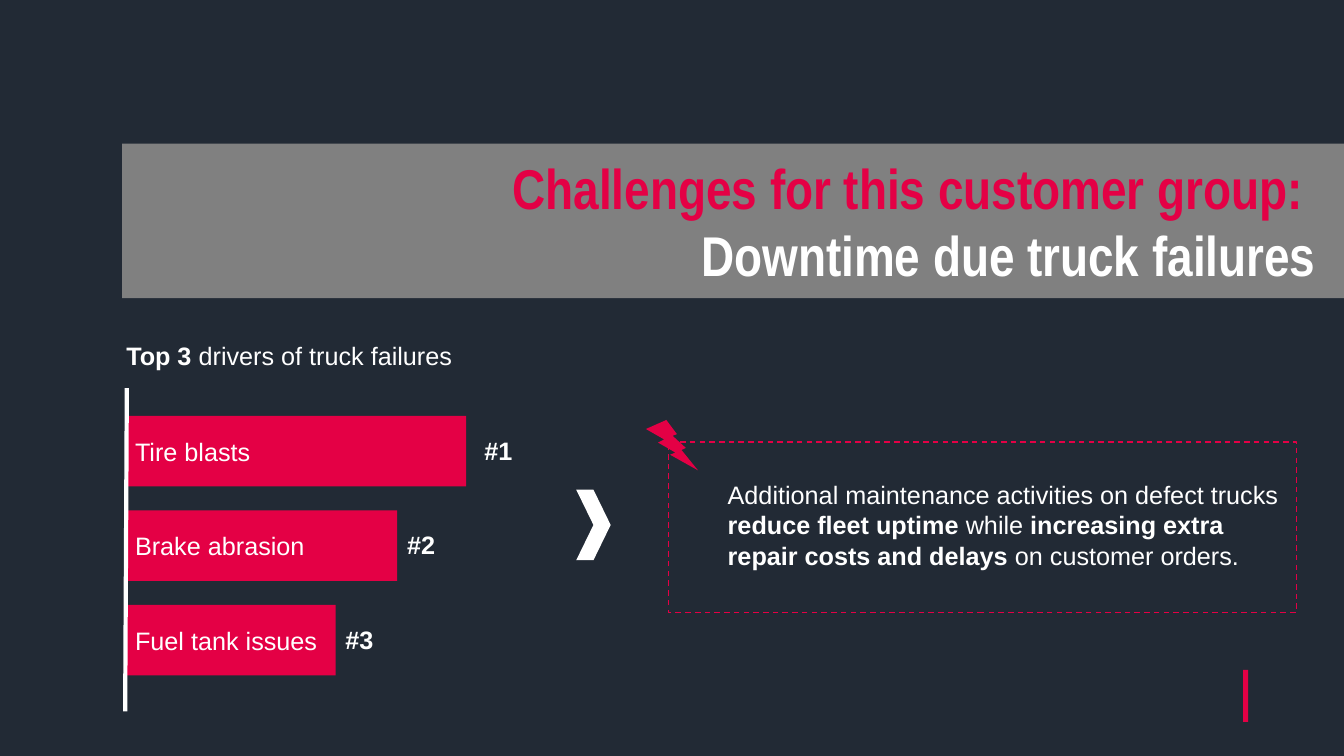
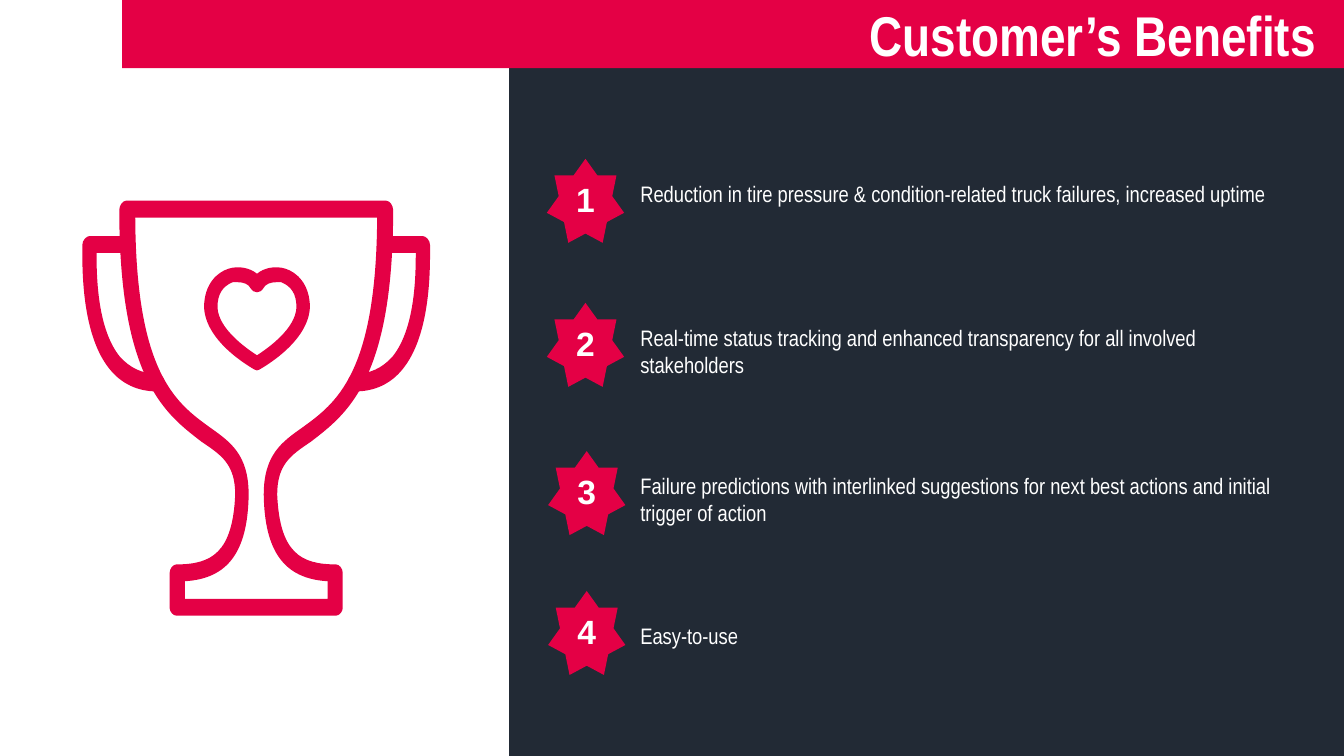
from dataclasses import dataclass
from typing import NamedTuple

from lxml.etree import SubElement
from pptx import Presentation
from pptx.dml.color import RGBColor
from pptx.enum.dml import MSO_LINE_DASH_STYLE as Dash
from pptx.enum.shapes import MSO_CONNECTOR as Connector, MSO_SHAPE as Preset
from pptx.enum.text import MSO_ANCHOR as Anchor, MSO_AUTO_SIZE as AutoSize, PP_ALIGN as Align
from pptx.oxml.ns import qn
from pptx.util import Emu, Inches, Pt

NAVY, RED, GREY, WHITE = "222A35", "E40045", "808080", "FFFFFF"
COLUMNS, ROWS = 160, 90
SLIDE_WIDTH, SLIDE_HEIGHT = Inches(13.33), Inches(7.5)

TITLE = {"name": "Arial Narrow", "size": Pt(40), "bold": True}
BODY = {"name": "Arial", "size": Pt(18), "bold": False}
STRONG = BODY | {"bold": True}
NUMBER = STRONG | {"size": Pt(24)}
BENEFIT = {"name": "Arial Narrow", "size": Pt(16), "bold": False}

BAND_INSETS = {"margin_left": Inches(0.1), "margin_right": Inches(0.28),
               "margin_top": Inches(0.05), "margin_bottom": Inches(0.05)}
NO_INSETS = dict.fromkeys(BAND_INSETS, 0)


class Cell(NamedTuple):
    column: float
    row: float
    columns: float
    rows: float


class Run(NamedTuple):
    text: str
    style: dict
    color: str = WHITE


Point = tuple[float, float]
Paragraphs = list[list[Run]]


@dataclass
class Driver:
    label: str
    columns: float
    gap: float


@dataclass
class Benefit:
    text: str
    star_column: float
    star_row: float
    text_row: float
    rows: float


@dataclass
class Contour:
    points: list[Point]
    degrees: list[int]

    def mirrored(self, axis: float) -> "Contour":
        flipped = [(2 * axis - column, row) for column, row in reversed(self.points)]
        return Contour(flipped, self.degrees[::-1])

    def completed(self) -> "Contour":
        other = self.mirrored(self.points[0][0])
        return Contour(self.points + other.points[1:], self.degrees + other.degrees)


def trace(start: Point, *steps: tuple[float, ...]) -> Contour:
    points = [start]
    for step in steps:
        points += zip(step[::2], step[1::2])
    return Contour(points, [len(step) // 2 for step in steps])


DRIVERS = [
    Driver("Tire blasts", 40.6, 1),
    Driver("Brake abrasion", 32.4, 0),
    Driver("Fuel tank issues", 25.05, 0),
]

BENEFITS = [
    Benefit("Reduction in tire pressure & condition-related truck failures, increased uptime",
            65.1, 18.9, 20.9, 4.4),
    Benefit("Real-time status tracking and enhanced transparency for all involved stakeholders",
            65.1, 36.05, 38, 7.7),
    Benefit("Failure predictions with interlinked suggestions for next best actions and "
            "initial trigger of action", 65.25, 53.7, 55.6, 7.7),
    Benefit("Easy-to-use", 65.25, 70.35, 73.5, 4.4),
]

CUP_AXIS, HEART_AXIS = 30.5, 30.6

HANDLE = trace(
    (18.7, 46.6),
    (16.4, 46.6, 14.5, 45.7, 13.1, 44), (9.8, 40, 9.8, 32.5, 9.8, 29.6),
    (9.8, 29.4, 9.8, 29.3, 9.8, 29.2), (9.8, 28.6, 10.3, 28.1, 10.7, 28.1),
    (15.1, 28.1), (15.6, 28.1, 16, 28.6, 16, 29.2), (16, 29.6, 15.6, 30.1, 15.1, 30.1),
    (11.5, 30.1), (11.5, 33, 11.6, 39.2, 14.3, 42.5), (15.5, 43.8, 16.9, 44.5, 18.7, 44.5),
    (19.2, 44.5, 19.6, 45, 19.6, 45.6), (19.6, 46.1, 19.2, 46.6, 18.7, 46.6),
)

CUP_RIM = trace(
    (CUP_AXIS, 23.9),
    (15, 23.9), (14.6, 23.9, 14.2, 24.5, 14.2, 25), (14.2, 45.5, 19.9, 49.4, 24, 52.6),
    (26.4, 54.2, 28, 55.3, 28, 58.9), (27.7, 65.8, 25.2, 67.2, 21, 67.2),
    (20.6, 67.2, 20.2, 67.7, 20.2, 68.2), (20.2, 72.4),
    (20.2, 72.8, 20.6, 73.3, 21, 73.3), (CUP_AXIS, 73.3),
)

CUP_HOLLOW = trace(
    (CUP_AXIS, 25.9),
    (16.1, 25.9), (16.2, 44.5, 21, 48, 25, 50.9), (27.4, 52.6, 29.6, 54.1, 29.6, 58.9),
    (29.5, 65.6, 27.2, 68.9, 22, 69.2), (22, 71.3), (CUP_AXIS, 71.3),
)

HEART_RIM = trace(
    (HEART_AXIS, 32.6),
    (29.8, 31.9, 28.4, 31.6, 27.2, 32), (25.9, 32.4, 24.3, 33.8, 24.3, 36.6),
    (24.5, 40.8, 30, 43.8, 30.3, 44), (30.4, 44.1, 30.5, 44.1, HEART_AXIS, 44.1),
)

HEART_HOLLOW = trace(
    (HEART_AXIS, 34.8),
    (30.3, 34.8, 30, 34.6, 29.9, 34.4), (29.6, 33.8, 29, 33.6, 28.3, 33.6),
    (28.2, 33.6, 28, 33.6, 27.7, 33.6), (26.5, 34.1, 25.9, 35, 25.9, 36.6),
    (26, 39.1, 29.2, 41.4, HEART_AXIS, 42.3),
)


def across(columns: float) -> Emu:
    return Emu(round(SLIDE_WIDTH * columns / COLUMNS))


def down(rows: float) -> Emu:
    return Emu(round(SLIDE_HEIGHT * rows / ROWS))


def place(cell: Cell) -> tuple[Emu, Emu, Emu, Emu]:
    return across(cell.column), down(cell.row), across(cell.columns), down(cell.rows)


def paint(target, color: str) -> None:
    target.solid()
    target.fore_color.rgb = RGBColor.from_string(color)


def apply(target, values: dict) -> None:
    for attribute, value in values.items():
        setattr(target, attribute, value)


def write(frame, paragraphs: Paragraphs, align=Align.LEFT, **layout) -> None:
    apply(frame, {"word_wrap": True} | layout)
    for index, runs in enumerate(paragraphs):
        paragraph = frame.add_paragraph() if index else frame.paragraphs[0]
        paragraph.alignment = align
        for wording in runs:
            run = paragraph.add_run()
            run.text = wording.text
            apply(run.font, wording.style)
            paint(run.font.fill, wording.color)


def finish(shape, color: str) -> None:
    shape.shadow.inherit = False
    paint(shape.fill, color)
    shape.line.fill.background()


def add_block(slide, cell: Cell, color: str, preset=Preset.RECTANGLE):
    block = slide.shapes.add_shape(preset, *place(cell))
    finish(block, color)
    return block


def add_text(slide, cell: Cell, *runs: Run) -> None:
    box = slide.shapes.add_textbox(*place(cell))
    write(box.text_frame, [list(runs)], auto_size=AutoSize.SHAPE_TO_FIT_TEXT)


def add_title_band(slide, row: float, rows: float, color: str, lines: Paragraphs) -> None:
    band = add_block(slide, Cell(14.55, row, COLUMNS - 14.55, rows), color)
    write(band.text_frame, lines, Align.RIGHT, vertical_anchor=Anchor.MIDDLE, **BAND_INSETS)


def bend(shape, degrees: list[int]) -> None:
    steps = iter(list(shape._element.iter(qn("a:lnTo"))))
    for degree in degrees:
        first, *others = [next(steps) for _ in range(degree)]
        if others:
            first.tag
            curve = first.makeelement(qn("a:cubicBezTo"))
            first.addprevious(curve)
            for step in (first, *others):
                curve.append(step[0])
                step.getparent().remove(step)


def add_outline(slide, *contours: Contour) -> None:
    placed = [[(across(column), down(row)) for column, row in contour.points]
              for contour in contours]
    builder = slide.shapes.build_freeform(*placed[0][0])
    for index, (first, *rest) in enumerate(placed):
        if index:
            builder.move_to(*first)
        builder.add_line_segments(rest, close=True)
    outline = builder.convert_to_shape()
    bend(outline, [degree for contour in contours for degree in contour.degrees])
    finish(outline, RED)


def add_axis(slide) -> None:
    axis = slide.shapes.add_connector(
        Connector.STRAIGHT, across(15.1), down(46.2), across(14.9), down(84.7))
    axis.line.width = Pt(3)
    paint(axis.line.fill, WHITE)
    SubElement(axis._element.spPr, qn("a:effectLst"))


def add_driver(slide, rank: int, driver: Driver) -> None:
    bar = Cell(14.9, 49.5 + 11.25 * (rank - 1), driver.columns, 8.4)
    block = add_block(slide, bar, RED)
    write(block.text_frame, [[Run(driver.label, BODY)]], vertical_anchor=Anchor.MIDDLE)
    rank_column = bar.column + bar.columns + driver.gap
    add_text(slide, Cell(rank_column, bar.row + 1.7, 6.2, 4.8), Run(f"#{rank}", STRONG))


def build_challenges(slide) -> None:
    add_block(slide, Cell(0, 0, COLUMNS, ROWS), NAVY)
    add_title_band(slide, 17.1, 18.4, GREY, [
        [Run("Challenges for this customer group: ", TITLE, RED)],
        [Run("Downtime due truck failures", TITLE)],
    ])
    for columns, color in ((12, NAVY), (0.6, RED)):
        add_block(slide, Cell(148, 79.75, columns, 6.2), color)
    add_text(slide, Cell(85.45, 56.5, 69.1, 12.1),
             Run("Additional maintenance activities on defect trucks ", BODY),
             Run("reduce fleet uptime ", STRONG), Run("while ", BODY),
             Run("increasing extra repair costs and delays ", STRONG),
             Run("on customer orders.", BODY))
    for rank, driver in enumerate(DRIVERS, 1):
        add_driver(slide, rank, driver)
    add_axis(slide)
    add_text(slide, Cell(13.85, 39.9, 83.3, 4.8),
             Run("Top 3 ", STRONG), Run("drivers of truck failures", BODY))
    add_block(slide, Cell(76.9, 50, 6.2, 6), RED, Preset.LIGHTNING_BOLT)
    add_block(slide, Cell(68.6, 58.3, 4.1, 8.4), WHITE, Preset.CHEVRON)
    consequence = add_block(slide, Cell(79.6, 52.6, 74.75, 20.3), NAVY)
    consequence.fill.background()
    paint(consequence.line.fill, RED)
    apply(consequence.line, {"width": Pt(1), "dash_style": Dash.DASH})


def build_benefits(slide) -> None:
    add_block(slide, Cell(60.6, 0, COLUMNS - 60.6, ROWS), NAVY)
    add_title_band(slide, 0, 8.1, RED, [[Run("Customer’s Benefits", TITLE)]])
    for number, benefit in enumerate(BENEFITS, 1):
        star = add_block(slide, Cell(benefit.star_column, benefit.star_row, 9.2, 10), RED,
                         Preset.STAR_7_POINT)
        write(star.text_frame, [[Run(str(number), NUMBER)]], Align.CENTER,
              vertical_anchor=Anchor.MIDDLE, **NO_INSETS)
        add_text(slide, Cell(75.05, benefit.text_row, 78.7, benefit.rows),
                 Run(benefit.text, BENEFIT))
    add_outline(slide, HANDLE)
    add_outline(slide, HANDLE.mirrored(CUP_AXIS))
    add_outline(slide, CUP_RIM.completed(), CUP_HOLLOW.completed())
    add_outline(slide, HEART_RIM.completed(), HEART_HOLLOW.completed())


def main() -> None:
    deck = Presentation()
    apply(deck, {"slide_width": SLIDE_WIDTH, "slide_height": SLIDE_HEIGHT})
    for build in (build_challenges, build_benefits):
        build(deck.slides.add_slide(deck.slide_layouts[6]))
    deck.save("out.pptx")


if __name__ == "__main__":
    main()
